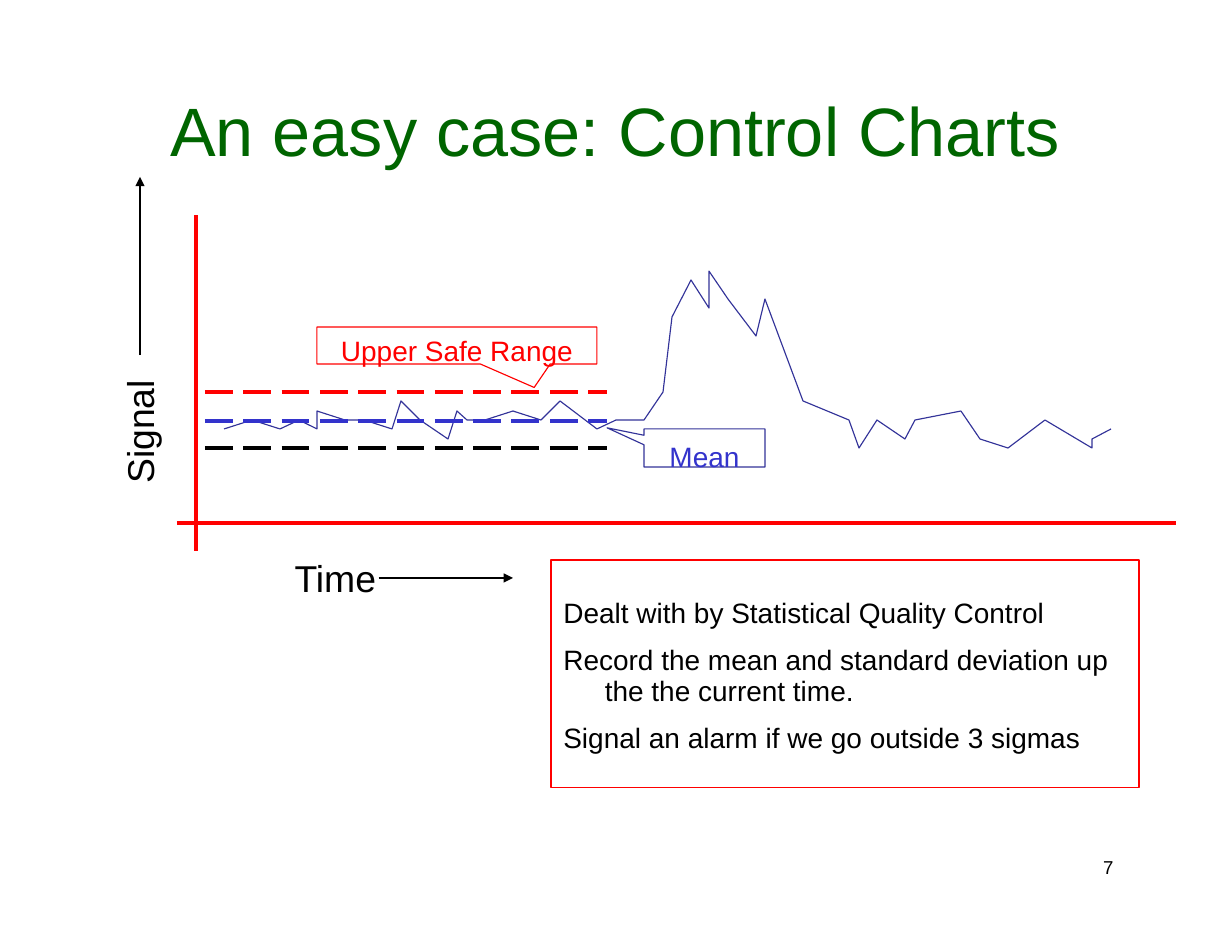
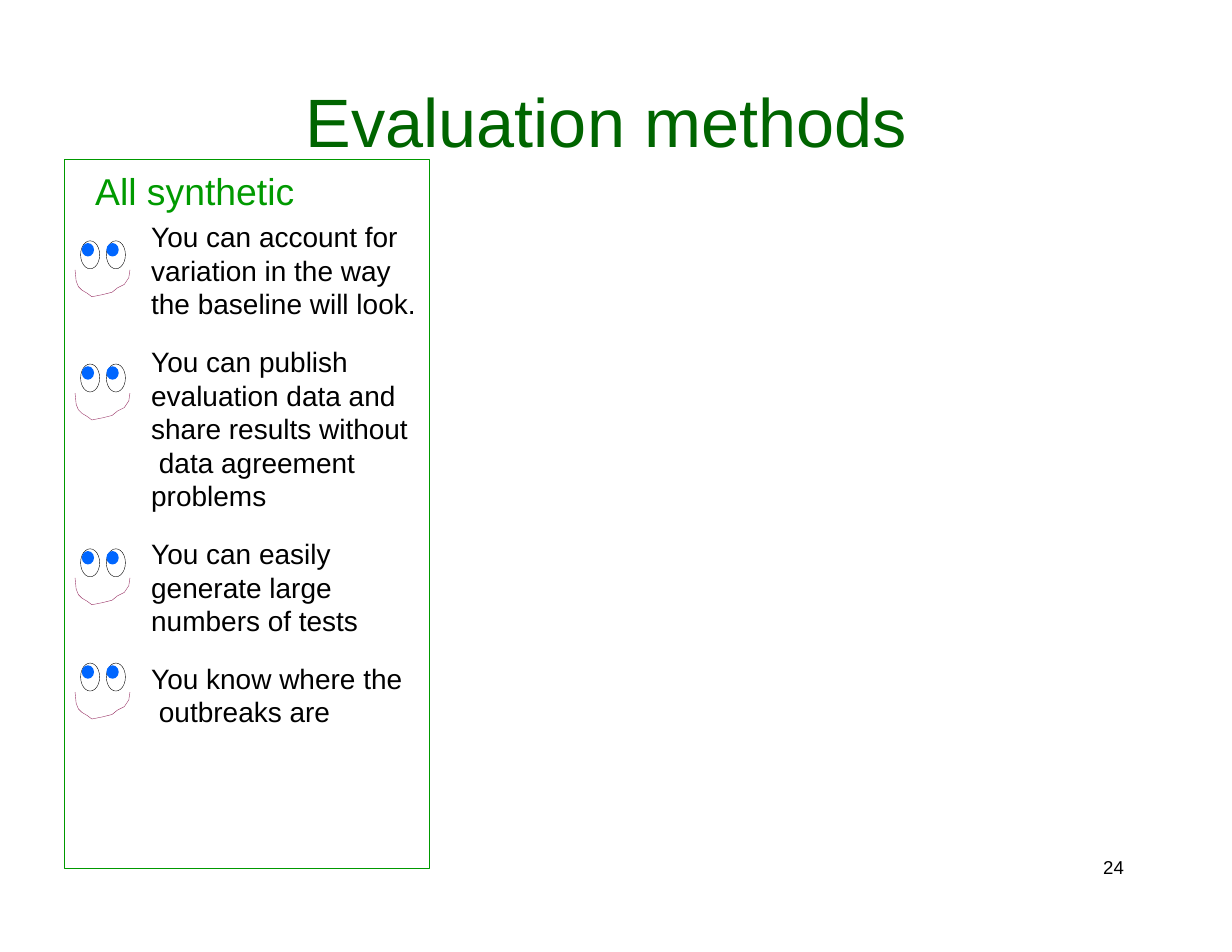
from pptx import Presentation
from pptx import util as u
from pptx.dml.color import RGBColor
from pptx.enum import dml, shapes, text
from pptx.oxml.ns import qn
from lxml import etree

FONT = "Arial"
TITLE, GREEN, LEAF = "006500", "009900", "009A00"
RED, BLACK, NAVY, BLUE = "FF0000", "000000", "333399", "3333CC"
IRIS, LIP = "0066FF", "993366"
KIND = shapes.MSO_SHAPE
MID = text.PP_ALIGN.CENTER

TREND = [
    (0.25, 1.91), (0.5, 1.83), (0.75, 1.91), (0.92, 1.83), (1.08, 1.91),
    (1.08, 1.75), (1.33, 1.83), (1.5, 1.83), (1.75, 1.91), (1.83, 1.66),
    (2, 1.83), (2.25, 2), (2.33, 1.75), (2.42, 1.83), (2.58, 1.83),
    (2.83, 1.75), (3.08, 1.83), (3.25, 1.66), (3.58, 1.91), (3.75, 1.83),
    (4, 1.83), (4.17, 1.58), (4.25, 0.91), (4.42, 0.58), (4.58, 0.83),
    (4.58, 0.5), (4.75, 0.75), (5, 1.08), (5.08, 0.75), (5.42, 1.66),
    (5.83, 1.83), (5.92, 2.08), (6.08, 1.83), (6.33, 2), (6.42, 1.83),
    (6.83, 1.75), (7, 2), (7.25, 2.08), (7.58, 1.83), (8, 2.08),
    (8, 2), (8.17, 1.91),
]
SMILE = [
    (0, 0.26), (0.01, 0.36), (0.03, 0.41), (0.06, 0.44), (0.11, 0.47),
    (0.15, 0.5), (0.25, 0.48), (0.33, 0.46), (0.38, 0.42), (0.44, 0.39),
    (0.48, 0.33), (0.49, 0.26),
]
RULES = [
    "Dealt with by Statistical Quality Control",
    "Record the mean and standard deviation up the the current time.",
    "Signal an alarm if we go outside 3 sigmas",
]
GAINS = [
    (2.15, "You can account for\vvariation in the way\vthe baseline will look."),
    (3.25, "You can publish\vevaluation data and\vshare results without"
           "\v data agreement\vproblems"),
    (4.9, "You can easily\vgenerate large\vnumbers of tests"),
    (5.92, "You know where the\v outbreaks are"),
]


def tint(code):
    """Turn a hex string into a colour."""
    return RGBColor.from_string(code)


def frame(shape, left=0, top=0, right=0, wrap=True):
    """Set the insets and wrapping of a shape's text frame."""
    body = shape.text_frame
    body.margin_left, body.margin_top = u.Inches(left), u.Inches(top)
    body.margin_right, body.margin_bottom = u.Inches(right), 0
    body.word_wrap = wrap
    body.vertical_anchor = text.MSO_ANCHOR.TOP
    return body


def write(body, words, size=18, color=BLACK, align=text.PP_ALIGN.LEFT,
          before=0, pitch=None, left=0, hang=0):
    """Put one formatted paragraph in a text frame."""
    para = body.paragraphs[0]
    if para.runs:
        para = body.add_paragraph()
    props = para._p.get_or_add_pPr()
    props.set("marL", str(u.Inches(left)))
    props.set("indent", str(-u.Inches(hang)))
    para.text = words
    para.alignment = align
    para.space_before = u.Pt(before)
    if pitch:
        para.line_spacing = u.Pt(pitch)
    para.font.name, para.font.size = FONT, u.Pt(size)
    para.font.color.rgb = tint(color)
    for run in para.runs:
        run.font.name, run.font.size = FONT, u.Pt(size)
        run.font.color.rgb = tint(color)


def label(slide, words, x, y, w, h, top=0, **look):
    """Add a one-line text box."""
    box = slide.shapes.add_textbox(*map(u.Inches, (x, y, w, h)))
    write(frame(box, top=top, wrap=False), words, **look)
    return box


def paint(shape, fill=None, line=None, width=0.75):
    """Set the fill and outline of a shape."""
    shape.shadow.inherit = False
    if fill:
        shape.fill.solid()
        shape.fill.fore_color.rgb = tint(fill)
    else:
        shape.fill.background()
    if line:
        shape.line.color.rgb = tint(line)
        shape.line.width = u.Pt(width)
    else:
        shape.line.fill.background()
    return shape


def form(slide, kind, x, y, w, h, **look):
    """Add a preset shape."""
    return paint(slide.shapes.add_shape(kind, *map(u.Inches, (x, y, w, h))), **look)


def trace(slide, dots, x, y, **look):
    """Draw an open outline through dots offset from a corner."""
    spots = [(u.Inches(x + a), u.Inches(y + b)) for a, b in dots]
    path = slide.shapes.build_freeform(*spots[0])
    path.add_line_segments(spots[1:], close=False)
    return paint(path.convert_to_shape(), **look)


def rule(slide, x, y, w, h, color, width, dash=False, arrow=False):
    """Draw a straight line spanning w and h from a point."""
    line = slide.shapes.add_connector(
        shapes.MSO_CONNECTOR.STRAIGHT, *map(u.Inches, (x, y, x + w, y + h)))
    line.line.color.rgb = tint(color)
    line.line.width = u.Pt(width)
    if dash:
        line.line.dash_style = dml.MSO_LINE.LONG_DASH
    if arrow:
        etree.SubElement(line.line._get_or_add_ln(), qn("a:tailEnd"), type="triangle")
    etree.SubElement(line._element.spPr, qn("a:effectLst"))


def start(deck, title, x, y, page):
    """Add a slide with its title and page number."""
    slide = deck.slides.add_slide(deck.slide_layouts[6])
    label(slide, title, x, y, 8, 0.76, top=0.02, size=44, color=TITLE)
    label(slide, page, 9.85, 7.64, 0.24, 0.21, size=12, pitch=14.2)
    return slide


def callout(slide, words, x, y, w, h, tip, top, line, color):
    """Add a labelled callout pointing at an offset from its corner."""
    shape = form(slide, KIND.RECTANGULAR_CALLOUT, x, y, w, h, line=line)
    shape.adjustments[0] = tip[0] / w - 0.5
    shape.adjustments[1] = tip[1] / h - 0.5
    write(frame(shape, top=top), words, color=color, align=MID)


def plot(slide, x, y, w, h):
    """Draw the control chart with its axes, limits and callouts."""
    rule(slide, x, y, 0, h, RED, 3)
    rule(slide, x - 0.17, y + 2.75, w, 0, RED, 3)
    label(slide, "Time", x + 0.88, y + 3.02, 0.77, 0.43, top=0.02, size=24)
    rule(slide, x + 1.63, y + 3.24, 1.2, 0, BLACK, 1, arrow=True)
    side = label(slide, "Signal", x - 0.69, y + 1.44, 0.4, 0.96, size=24, pitch=27.6)
    side.text_frame._txBody.bodyPr.set("vert", "vert270")
    rule(slide, x - 0.5, y + 1.25, 0, -1.59, BLACK, 1, arrow=True)
    trace(slide, TREND, x, y, line=NAVY)
    for drop, color in ((1.84, BLUE), (1.58, RED), (2.08, BLACK)):
        rule(slide, x + 0.08, y + drop, 3.59, 0, color, 2.25, dash=True)
    callout(slide, "Mean", x + 4, y + 1.91, 1.08, 0.34,
            (-0.33, -0.01), 0.09, NAVY, BLUE)
    callout(slide, "Upper Safe Range", x + 1.08, y + 1, 2.5, 0.33,
            (1.94, 0.54), 0.06, RED, RED)


def notes(slide, x, y, w, h):
    """List the control rules in a framed box."""
    body = frame(form(slide, KIND.RECTANGLE, x, y, w, h, line=RED),
                 top=0.35, right=0.1)
    for i, words in enumerate(RULES):
        write(body, words, before=10.7 if i else 0, pitch=19.5, left=0.48, hang=0.37)


def face(slide, x, y):
    """Draw two eyes over a smile."""
    trace(slide, SMILE, x, y, line=LIP, width=0.25)
    for dx in (0.05, 0.28):
        form(slide, KIND.OVAL, x + dx, y, 0.17, 0.25, line=BLACK, width=0.25)
    for dx in (0.06, 0.28):
        form(slide, KIND.OVAL, x + dx, y + 0.02, 0.11, 0.12, fill=IRIS)


def panel(slide, x, y, w, h):
    """List the gains in a framed panel with a face beside each."""
    body = frame(form(slide, KIND.RECTANGLE, x, y, w, h, line=GREEN, width=0.25),
                 top=0.08)
    write(body, "All synthetic", size=24, color=LEAF, left=0.28)
    for i, (top, words) in enumerate(GAINS):
        write(body, words, before=15.4 if i else 4.5, pitch=21.6, left=0.78)
        face(slide, x + 0.1, y + top - 1.42)


def main():
    """Build and save both slides."""
    deck = Presentation()
    deck.slide_width, deck.slide_height = u.Inches(11), u.Inches(8.5)
    chart = start(deck, "An easy case: Control Charts", 1.52, 0.77, "7")
    plot(chart, 1.75, 1.92, 8.92, 3)
    notes(chart, 4.92, 5, 5.25, 2.03)
    panel(start(deck, "Evaluation methods", 2.73, 0.69, "24"), 0.57, 1.42, 3.26, 6.33)
    deck.save("out.pptx")


if __name__ == "__main__":
    main()
